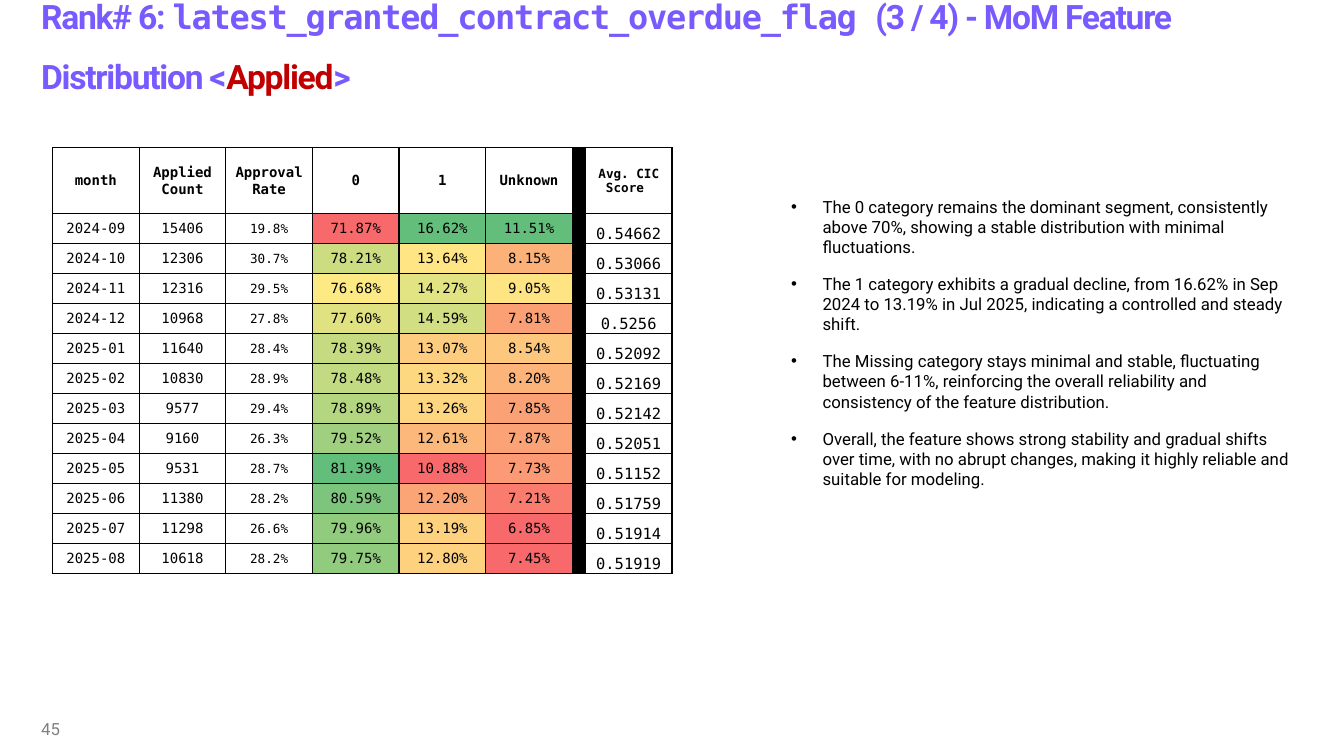
from lxml import etree
from pptx import Presentation
from pptx.dml.color import RGBColor
from pptx.enum.text import MSO_ANCHOR, MSO_AUTO_SIZE, PP_ALIGN
from pptx.oxml.ns import qn
from pptx.util import Pt

MIDDLE, BOTTOM = MSO_ANCHOR.MIDDLE, MSO_ANCHOR.BOTTOM
CENTER = PP_ALIGN.CENTER
GROW = MSO_AUTO_SIZE.SHAPE_TO_FIT_TEXT
SANS, MONO = "Roboto", "DejaVu Sans Mono"
PURPLE, RED, GREY, BLACK = "785AFF", "C00000", "808080", "000000"

TITLE = [
    ("Rank# 6: ", SANS, PURPLE),
    ("latest_granted_contract_overdue_flag ", MONO, PURPLE),
    ("(3 / 4) - MoM Feature Distribution <", SANS, PURPLE),
    ("Applied", SANS, RED),
    (">", SANS, PURPLE),
]
PAGE_NUMBER = "45"
FINDINGS = [
    "The 0 category remains the dominant segment, consistently above 70%, showing a stable distribution with minimal fluctuations.",
    "The 1 category exhibits a gradual decline, from 16.62% in Sep 2024 to 13.19% in Jul 2025, indicating a controlled and steady shift.",
    "The Missing category stays minimal and stable, fluctuating between 6-11%, reinforcing the overall reliability and consistency of the feature distribution.",
    "Overall, the feature shows strong stability and gradual shifts over time, with no abrupt changes, making it highly reliable and suitable for modeling.",
]
HEADER = ["month", "Applied Count", "Approval Rate", "0", "1", "Unknown", "", "Avg. CIC Score "]
MONTHS = [
    ("2024-09", "15406", "19.8%", "71.87%", "16.62%", "11.51%", "", "0.54662"),
    ("2024-10", "12306", "30.7%", "78.21%", "13.64%", "8.15%", "", "0.53066"),
    ("2024-11", "12316", "29.5%", "76.68%", "14.27%", "9.05%", "", "0.53131"),
    ("2024-12", "10968", "27.8%", "77.60%", "14.59%", "7.81%", "", "0.5256"),
    ("2025-01", "11640", "28.4%", "78.39%", "13.07%", "8.54%", "", "0.52092"),
    ("2025-02", "10830", "28.9%", "78.48%", "13.32%", "8.20%", "", "0.52169"),
    ("2025-03", "9577", "29.4%", "78.89%", "13.26%", "7.85%", "", "0.52142"),
    ("2025-04", "9160", "26.3%", "79.52%", "12.61%", "7.87%", "", "0.52051"),
    ("2025-05", "9531", "28.7%", "81.39%", "10.88%", "7.73%", "", "0.51152"),
    ("2025-06", "11380", "28.2%", "80.59%", "12.20%", "7.21%", "", "0.51759"),
    ("2025-07", "11298", "26.6%", "79.96%", "13.19%", "6.85%", "", "0.51914"),
    ("2025-08", "10618", "28.2%", "79.75%", "12.80%", "7.45%", "", "0.51919"),
]
HEAT = [
    ("F8696B", "63BE7B", "63BE7B"),
    ("CBDC81", "FFE583", "FCB179"),
    ("FDEA84", "E2E382", "FFE483"),
    ("E0E282", "D1DE81", "FB9F75"),
    ("C5DA81", "FDCC7E", "FDC77D"),
    ("C2DA81", "FED880", "FCB47A"),
    ("B5D680", "FED580", "FBA176"),
    ("A0D07F", "FCB87A", "FBA276"),
    ("63BE7B", "F8696B", "FB9A74"),
    ("7DC57C", "FBA476", "F97C6F"),
    ("91CB7E", "FED17F", "F8696B"),
    ("91CB7E", "FED17F", "F8696B"),
]
HEAT_START, DIVIDER = 3, 6
HEADER_SIZES = [10, 10, 10, 10, 10, 10, 9, 9]
MONTH_SIZES = [10, 10, 9, 10, 10, 10, 9, 11]
COLUMN_WIDTH, DIVIDER_WIDTH = 61.9, 9.4
HEADER_HEIGHT, MONTH_HEIGHT = 46.8, 21.45


def color(value):
    return RGBColor.from_string(value)


def apply(target, formats):
    for name, value in formats.items():
        setattr(target, name, value)


def style(font, name, size, ink, bold=False):
    apply(font, {"name": name, "size": Pt(size), "bold": bold})
    font.color.rgb = color(ink)


def add_box(page, left, top, width, height, **formats):
    box = page.shapes.add_textbox(Pt(left), Pt(top), Pt(width), Pt(height))
    apply(box.text_frame, {"word_wrap": True, **formats})
    return box.text_frame


def add_title(page):
    para = add_box(page, 22.3, 0, 866.2, 51.1, vertical_anchor=MIDDLE).paragraphs[0]
    para.line_spacing = 1.5
    for text, name, ink in TITLE:
        span = para.add_run()
        span.text = text
        style(span.font, name, 24, ink, True)
        span.font._element.set("spc", "-90")


def add_page_number(page):
    para = add_box(page, 22.3, 506.2, 216, 28.8, vertical_anchor=MIDDLE).paragraphs[0]
    para.text = PAGE_NUMBER
    para.space_after = Pt(6)
    style(para.runs[0].font, SANS, 12, GREY)


def add_findings(page):
    frame = add_box(page, 558, 136.8, 372.2, 223.9, auto_size=GROW)
    for index, finding in enumerate(FINDINGS):
        para = frame.paragraphs[0] if index == 0 else frame.add_paragraph()
        para.text = finding
        para.space_after = Pt(12)
        properties = para._p.get_or_add_pPr()
        properties.set("marL", str(Pt(22.5)))
        properties.set("indent", str(-Pt(22.5)))
        etree.SubElement(properties, qn("a:buFont"), typeface="Arial")
        etree.SubElement(properties, qn("a:buChar"), char="•")
        style(para.runs[0].font, SANS, 12, BLACK)


def add_borders(cell):
    properties = cell._tc.get_or_add_tcPr()
    for side in ("lnL", "lnR", "lnT", "lnB"):
        line = etree.SubElement(properties, qn("a:" + side), w=str(Pt(1)))
        fill = etree.SubElement(line, qn("a:solidFill"))
        etree.SubElement(fill, qn("a:srgbClr"), val=BLACK)


def fill_cell(cell, text, size, bold, anchor, background):
    edge = Pt(0.7)
    apply(cell, {"margin_left": edge, "margin_right": edge, "margin_top": edge,
                 "margin_bottom": 0, "vertical_anchor": anchor})
    add_borders(cell)
    if background:
        cell.fill.solid()
        cell.fill.fore_color.rgb = color(background)
    else:
        cell.fill.background()
    para = cell.text_frame.paragraphs[0]
    para.alignment = CENTER
    if text:
        para.text = text
        style(para.runs[0].font, MONO, size, BLACK, bold)
    else:
        para.font.size = Pt(size)


def add_distribution(page):
    widths = [DIVIDER_WIDTH if index == DIVIDER else COLUMN_WIDTH for index in range(len(HEADER))]
    heights = [HEADER_HEIGHT] + [MONTH_HEIGHT] * len(MONTHS)
    table = page.shapes.add_table(len(heights), len(widths), Pt(37.5), Pt(105.6),
                                  Pt(sum(widths)), Pt(sum(heights))).table
    apply(table, {"first_row": False, "horz_banding": False})
    for column, width in zip(table.columns, widths):
        column.width = Pt(width)
    for row, height in zip(table.rows, heights):
        row.height = Pt(height)
    for row_index, values in enumerate([HEADER] + MONTHS):
        is_header = row_index == 0
        sizes = HEADER_SIZES if is_header else MONTH_SIZES
        for index, text in enumerate(values):
            background = None
            if index == DIVIDER:
                background = BLACK
            elif not is_header and HEAT_START <= index < DIVIDER:
                background = HEAT[row_index - 1][index - HEAT_START]
            anchor = BOTTOM if index > DIVIDER and not is_header else MIDDLE
            fill_cell(table.cell(row_index, index), text, sizes[index], is_header, anchor, background)


def main():
    deck = Presentation()
    apply(deck, {"slide_width": Pt(960), "slide_height": Pt(540)})
    page = deck.slides.add_slide(deck.slide_layouts[6])
    add_title(page)
    add_page_number(page)
    add_findings(page)
    add_distribution(page)
    deck.save("out.pptx")


if __name__ == "__main__":
    main()
